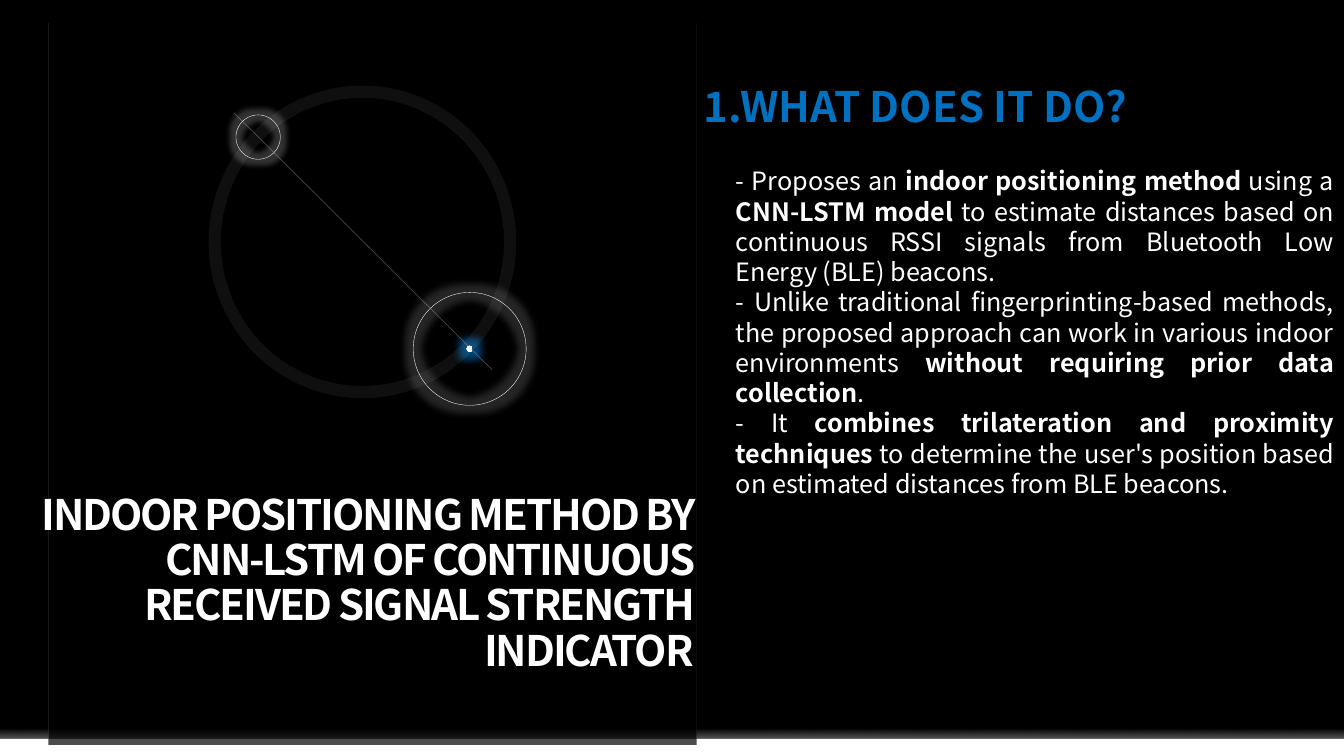
from lxml.etree import SubElement
from pptx import Presentation
from pptx.dml.color import RGBColor
from pptx.enum.shapes import MSO_CONNECTOR, MSO_SHAPE
from pptx.enum.text import MSO_ANCHOR, PP_ALIGN
from pptx.oxml.ns import qn
from pptx.util import Inches, Pt

WIDTH, HEIGHT = 13.33, 7.5
FONT = "Noto Sans CJK KR"
WHITE, BLACK, BLUE = "FFFFFF", "000000", "0070C0"

TITLE = ("INDOOR POSITIONING METHOD BY CNN-LSTM OF CONTINUOUS "
         "RECEIVED SIGNAL STRENGTH INDICATOR")
HEADING = "1.WHAT DOES IT DO?"
# Each paragraph is a list of (text, bold) runs.
POINTS = [
    [("- Proposes an ", False), ("indoor positioning method", True), (" using a ", False),
     ("CNN-LSTM model", True),
     (" to estimate distances based on continuous RSSI signals from "
      "Bluetooth Low Energy (BLE) beacons. ", False)],
    [("- Unlike traditional fingerprinting-based methods, the proposed approach "
      "can work in various indoor environments ", False),
     ("without requiring prior data collection", True), (". ", False)],
    [("- It ", False), ("combines trilateration and proximity techniques", True),
     (" to determine the user's position based on estimated distances "
      "from BLE beacons. ", False)],
]


def color(hex_code):
    return RGBColor.from_string(hex_code)


def add_child(parent, tag, **attributes):
    return SubElement(parent, qn(tag), {name: str(value) for name, value in attributes.items()})


def set_alpha(parent, percent):
    """Make every colour below the element translucent."""
    if percent < 100:
        for color_element in parent.iter(qn("a:srgbClr")):
            add_child(color_element, "a:alpha", val=percent * 1000)


def add_shape(slide, kind, box, fill=None, fill_alpha=100, line=None, line_width=0.25,
              line_alpha=100):
    shape = slide.shapes.add_shape(kind, *map(Inches, box))
    shape.shadow.inherit = False
    if fill:
        shape.fill.solid()
        shape.fill.fore_color.rgb = color(fill)
        set_alpha(shape.fill._xPr, fill_alpha)
    else:
        shape.fill.background()
    if line:
        shape.line.color.rgb = color(line)
        shape.line.width = Pt(line_width)
        set_alpha(shape.line._ln, line_alpha)
    else:
        shape.line.fill.background()
    return shape


def add_line(slide, start, end, line, width, alpha):
    connector = slide.shapes.add_connector(MSO_CONNECTOR.STRAIGHT, *map(Inches, start + end))
    connector.line.color.rgb = color(line)
    connector.line.width = Pt(width)
    set_alpha(connector.line._ln, alpha)
    add_child(connector._element.spPr, "a:effectLst")


def set_gradient(shape, stops, radial=False):
    """Replace an empty fill by (position, colour, alpha) stops, downward or radial."""
    properties = shape._element.spPr
    gradient = add_child(properties, "a:gradFill", rotWithShape=1)
    stop_list = add_child(gradient, "a:gsLst")
    for position, hex_code, alpha in stops:
        stop = add_child(stop_list, "a:gs", pos=position * 1000)
        stop_color = add_child(stop, "a:srgbClr", val=hex_code)
        add_child(stop_color, "a:alpha", val=alpha * 1000)
    if radial:
        circle = add_child(gradient, "a:path", path="circle")
        add_child(circle, "a:fillToRect", l=50000, t=50000, r=50000, b=50000)
    else:
        add_child(gradient, "a:lin", ang=5400000, scaled=0)
    properties.replace(properties.find(qn("a:noFill")), gradient)


def add_glow(shape, hex_code, radius, alpha):
    effects = shape._element.spPr.find(qn("a:effectLst"))
    glow = add_child(effects, "a:glow", rad=Pt(radius))
    add_child(glow, "a:srgbClr", val=hex_code)
    set_alpha(glow, alpha)


def add_circle(slide, center, diameter, **style):
    x, y = center
    box = (x - diameter / 2, y - diameter / 2, diameter, diameter)
    return add_shape(slide, MSO_SHAPE.OVAL, box, **style)


def add_text(slide, box, paragraphs, size, hex_code=WHITE, align=PP_ALIGN.LEFT,
             anchor=MSO_ANCHOR.TOP, margins=(0.1, 0.05), line_spacing=None, spacing=0):
    frame = slide.shapes.add_textbox(*map(Inches, box)).text_frame
    frame.word_wrap = True
    frame.vertical_anchor = anchor
    frame.margin_left = frame.margin_right = Inches(margins[0])
    frame.margin_top = frame.margin_bottom = Inches(margins[1])
    for index, runs in enumerate(paragraphs):
        paragraph = frame.add_paragraph() if index else frame.paragraphs[0]
        paragraph.alignment = align
        paragraph.line_spacing = line_spacing
        for text, bold in runs:
            run = paragraph.add_run()
            run.text = text
            run.font.size = Pt(size)
            run.font.bold = bold
            run.font.name = FONT
            run.font.color.rgb = color(hex_code)
            properties = run._r.get_or_add_rPr()
            add_child(properties, "a:ea", typeface=FONT)
            if spacing:
                properties.set("spc", str(int(spacing * 100)))


def add_floor(slide, box):
    """White strip along the bottom with a fading strip of equal height above it."""
    left, top, width, height = box
    strip = height / 2
    add_shape(slide, MSO_SHAPE.RECTANGLE, (left, top + strip, width, strip), fill=WHITE)
    fade = add_shape(slide, MSO_SHAPE.RECTANGLE, (left, top, width, strip))
    set_gradient(fade, [(40, WHITE, 0), (100, WHITE, 35)])


def add_panel(slide, box):
    left, top, width, height = box
    upper = height * 0.564
    add_shape(slide, MSO_SHAPE.RECTANGLE, (left, top + upper, width, height - upper),
              fill=BLACK, fill_alpha=70)
    add_shape(slide, MSO_SHAPE.RECTANGLE, (left, top, width, upper), fill=BLACK, fill_alpha=94)
    for x in (left + width, left):
        add_line(slide, (x, top), (x, top + height - 0.06), "F2F2F2", 0.25, 15)


def add_orbit(slide, box):
    """Large ring with a small and a medium circle joined by a diagonal."""
    left, top, width, height = box
    small_center = (left + width * 0.147, top + height * 0.151)
    medium_center = (left + width * 0.863, top + height * 0.856)
    small = add_circle(slide, small_center, 0.44, line=WHITE)
    add_glow(small, WHITE, 8, 20)
    medium = add_circle(slide, medium_center, 1.12, line=WHITE)
    add_glow(medium, WHITE, 11, 15)
    beacon = add_circle(slide, medium_center, 0.06)
    set_gradient(beacon, [(0, WHITE, 100), (65, "F7FFFF", 100), (70, "C1E4FF", 100)], radial=True)
    add_glow(beacon, BLUE, 11, 60)
    add_shape(slide, MSO_SHAPE.OVAL, box, line=WHITE, line_width=8.75, line_alpha=6)
    add_line(slide, (left + width * 0.065, top + height * 0.07),
             (left + width * 0.939, top + height * 0.926), "E7E6E6", 0.5, 30)


def add_title(slide, box):
    add_text(slide, box, [[(TITLE, True)]], 30, align=PP_ALIGN.RIGHT, anchor=MSO_ANCHOR.BOTTOM,
             margins=(0, 0), line_spacing=0.9, spacing=-1.5)


def add_explanation(slide, box):
    left, top, width, height = box
    add_text(slide, (left + 0.32, top + 0.83, width - 0.32, height - 0.83), POINTS, 18,
             align=PP_ALIGN.JUSTIFY, anchor=MSO_ANCHOR.MIDDLE)
    add_text(slide, (left, top, 4.87, 0.61), [[(HEADING, True)]], 30, BLUE)


def main():
    presentation = Presentation()
    presentation.slide_width, presentation.slide_height = Inches(WIDTH), Inches(HEIGHT)
    slide = presentation.slides.add_slide(presentation.slide_layouts[6])
    slide.background.fill.solid()
    slide.background.fill.fore_color.rgb = color(BLACK)
    add_floor(slide, (0, HEIGHT - 0.34, WIDTH, 0.34))
    add_panel(slide, (0.48, 0.23, 6.43, 7.16))
    add_title(slide, (0.4, 4.89, 6.48, 1.81))
    add_orbit(slide, (2.13, 0.91, 2.93, 2.98))
    add_explanation(slide, (6.88, 0.75, WIDTH - 6.88, 4.26))
    presentation.save("out.pptx")


if __name__ == "__main__":
    main()
